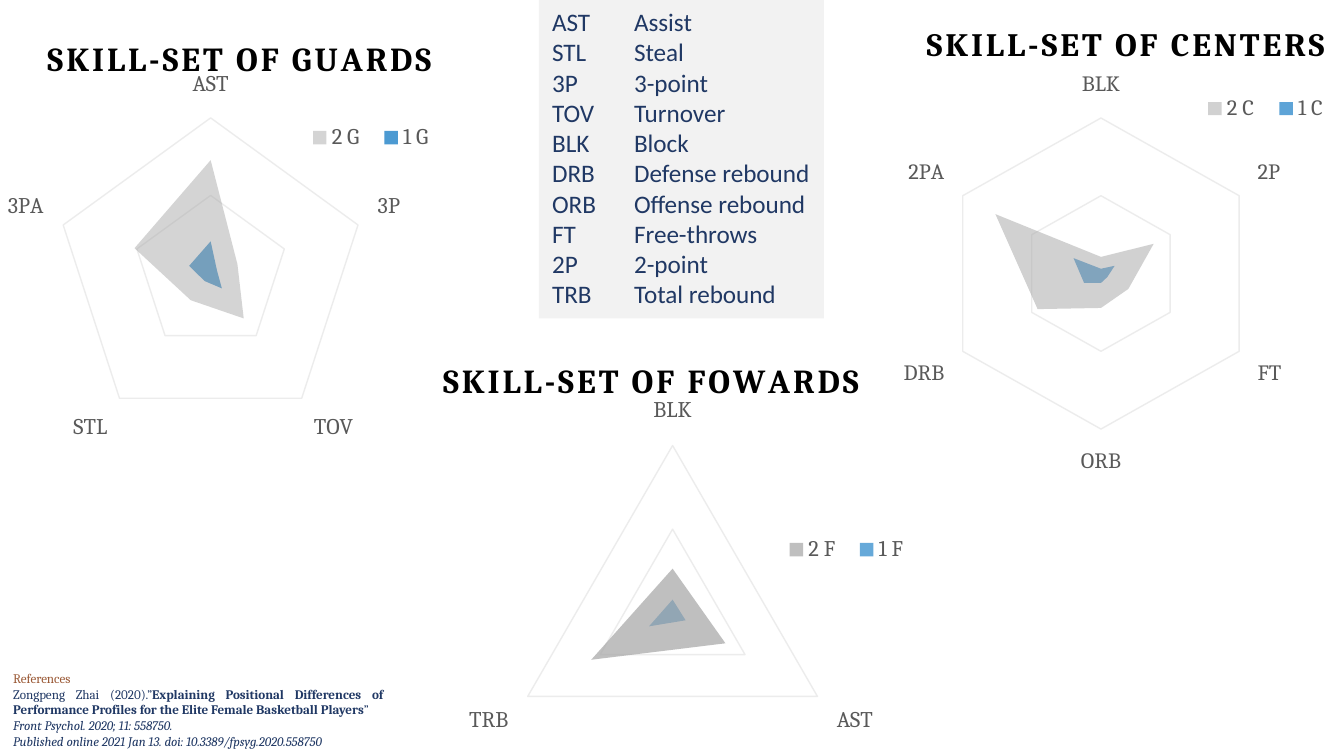
"""Build a slide of three radar charts comparing basketball skill-sets by position."""
from lxml.etree import SubElement
from pptx import Presentation
from pptx.chart.data import CategoryChartData
from pptx.dml.color import RGBColor
from pptx.enum.chart import XL_CHART_TYPE, XL_LEGEND_POSITION, XL_TICK_MARK
from pptx.enum.shapes import MSO_SHAPE
from pptx.enum.text import MSO_ANCHOR, MSO_AUTO_SIZE, PP_ALIGN
from pptx.oxml import parse_xml
from pptx.oxml.ns import nsdecls, qn
from pptx.util import Inches, Pt

THEME = {
    "black": RGBColor.from_string("000000"),
    "label": RGBColor.from_string("595959"),
    "axis": RGBColor.from_string("D9D9D9"),
    "grid": RGBColor.from_string("808080"),
    "second": RGBColor.from_string("A5A5A5"),
    "first": RGBColor.from_string("0070C0"),
    "panel": RGBColor.from_string("F2F2F2"),
    "navy": RGBColor.from_string("203864"),
    "brown": RGBColor.from_string("995733"),
    "heading": "Cambria",
    "body": "Calibri",
    "chart_size": Pt(10),
    "title_size": Pt(18),
    "title_spacing": "160",
    "label_size": Pt(12),
    "glossary_size": Pt(13.5),
    "reference_size": Pt(7),
    "hairline": Pt(0.75),
}


def paint(fill, color, opacity):
    fill.solid()
    fill.fore_color.rgb = color
    color_element = fill._xPr.find(f"{qn('a:solidFill')}/{qn('a:srgbClr')}")
    SubElement(color_element, qn("a:alpha"), val=str(opacity * 1000))


def place(element, index, **values):
    for old_layout in element.findall(qn("c:layout")):
        element.remove(old_layout)
    layout = parse_xml(f"<c:layout {nsdecls('c')}><c:manualLayout/></c:layout>")
    for name, value in values.items():
        SubElement(layout[0], qn(f"c:{name}"), val=str(value))
    element.insert(index, layout)


presentation = Presentation()
presentation.slide_width = Inches(10)
presentation.slide_height = Inches(10) * 9 // 16
slide = presentation.slides.add_slide(presentation.slide_layouts[6])

label_format = {"size": THEME["label_size"], "name": THEME["heading"]}
title_format = {"size": THEME["title_size"], "name": THEME["heading"], "bold": True}

skill_sets = [
    {
        "title": "SKILL-SET OF FOWARDS", "box": (1.51, 2.38, 6.86, 3.74),
        "skills": ["BLK", "AST", "TRB"], "maximum": 178,
        "series": [("2 F", [47, 65, 100], 70), ("1 F", [14, 16, 29], 60)],
        "plot": (0.328, 0.25, 0.363, 0.666),
        "title_at": (0.254, 0.066), "legend_box": (0.618, 0.412, 0.16, 0.09),
    },
    {
        "title": "SKILL-SET OF CENTERS", "box": (5.25, 0.01, 6.22, 3.52),
        "skills": ["BLK", "2P", "FT", "ORB", "DRB", "2PA"], "maximum": 131,
        "series": [("2 C", [14, 50, 26, 29, 60, 100], 50), ("1 C", [4, 13, 6, 8, 16, 26], 63)],
        "plot": (0.282, 0.253, 0.382, 0.676),
        "title_at": (0.257, 0.033), "legend_box": (0.58, 0.188, 0.18, 0.09),
    },
    {
        "title": "SKILL-SET OF GUARDS", "box": (-1.34, 0.12, 6.22, 3.52),
        "skills": ["AST", "3P", "TOV", "STL", "3PA"], "maximum": 137.5,
        "series": [("2 G", [100, 25, 50, 30, 71], 47), ("1 G", [28, 6, 17, 9, 20], 70)],
        "plot": (0.282, 0.215, 0.371, 0.656),
        "title_at": (0.265, 0.031), "legend_box": (0.569, 0.212, 0.18, 0.09),
    },
]

for skill_set in skill_sets:
    chart_data = CategoryChartData()
    chart_data.categories = skill_set["skills"]
    for name, values, opacity in skill_set["series"]:
        chart_data.add_series(name, values)
    box = [Inches(length) for length in skill_set["box"]]
    chart = slide.shapes.add_chart(XL_CHART_TYPE.RADAR_FILLED, *box, chart_data).chart
    chart.font.name = THEME["body"]
    chart.font.size = THEME["chart_size"]
    chart.font.color.rgb = THEME["black"]

    plot = chart.plots[0]
    plot.vary_by_categories = False
    colors = (THEME["second"], THEME["first"])
    for series, color, (name, values, opacity) in zip(plot.series, colors, skill_set["series"]):
        paint(series.format.fill, color, opacity)
        series.format.line.fill.background()

    category_axis = chart.category_axis
    category_axis.has_major_gridlines = False
    category_axis.major_tick_mark = XL_TICK_MARK.NONE
    category_axis.format.line.color.rgb = THEME["axis"]
    category_axis.format.line.width = THEME["hairline"]
    value_axis = chart.value_axis
    axis_format = {
        "visible": False, "has_major_gridlines": True, "minimum_scale": 0,
        "maximum_scale": skill_set["maximum"], "major_unit": skill_set["maximum"] / 2,
    }
    for attribute, value in axis_format.items():
        setattr(value_axis, attribute, value)
    grid_line = value_axis.major_gridlines.format.line
    grid_line.width = THEME["hairline"]
    paint(grid_line.fill, THEME["grid"], 15)

    chart.has_legend = True
    chart.legend.position = XL_LEGEND_POSITION.TOP
    chart.legend.include_in_layout = False
    for font in (category_axis.tick_labels.font, chart.legend.font):
        for attribute, value in label_format.items():
            setattr(font, attribute, value)
        font.color.rgb = THEME["label"]

    chart.has_title = True
    title = chart.chart_title.text_frame.paragraphs[0].add_run()
    title.text = skill_set["title"]
    for attribute, value in title_format.items():
        setattr(title.font, attribute, value)
    title.font.color.rgb = THEME["black"]
    title.font._element.set("spc", THEME["title_spacing"])

    chart_element = chart._chartSpace.chart
    edges = {"xMode": "edge", "yMode": "edge"}
    place(chart_element.plotArea, 0, layoutTarget="inner", **edges,
          **dict(zip("xywh", skill_set["plot"])))
    place(chart_element.find(qn("c:title")), 1, **edges,
          **dict(zip("xy", skill_set["title_at"])))
    place(chart_element.find(qn("c:legend")), 1, **edges,
          **dict(zip("xywh", skill_set["legend_box"])))

glossary = [
    ("AST", "Assist"), ("STL", "Steal"), ("3P", "3-point"), ("TOV", "Turnover"),
    ("BLK", "Block"), ("DRB", "Defense rebound"), ("ORB", "Offense rebound"),
    ("FT", "Free-throws"), ("2P", "2-point"), ("TRB", "Total rebound"),
]
panel = slide.shapes.add_shape(
    MSO_SHAPE.RECTANGLE, Inches(4.01), Inches(0), Inches(2.12), Inches(2.37))
panel.shadow.inherit = False
panel.fill.solid()
panel.fill.fore_color.rgb = THEME["panel"]
panel.line.fill.background()
panel.text_frame.vertical_anchor = MSO_ANCHOR.TOP
panel.text_frame.margin_right = Inches(0.05)
for index, (term, meaning) in enumerate(glossary):
    paragraph = panel.text_frame.paragraphs[0] if index == 0 else panel.text_frame.add_paragraph()
    tab_stops = SubElement(paragraph._p.get_or_add_pPr(), qn("a:tabLst"))
    SubElement(tab_stops, qn("a:tab"), pos=str(Inches(0.61)), algn="l")
    paragraph.alignment = PP_ALIGN.LEFT
    run = paragraph.add_run()
    run.text = f"{term}\t{meaning}"
    run.font.name = THEME["body"]
    run.font.size = THEME["glossary_size"]
    run.font.color.rgb = THEME["navy"]

references = [
    [("References", "brown", {})],
    [
        ("Zongpeng Zhai (2020).”", "navy", {}),
        ("Explaining Positional Differences of Performance Profiles for the Elite "
         "Female Basketball Players", "navy", {"bold": True}),
        ("”", "navy", {}),
    ],
    [("Front Psychol. 2020; 11: 558750.", "navy", {"italic": True})],
    [("Published online 2021 Jan 13. doi: 10.3389/fpsyg.2020.558750", "navy", {"italic": True})],
]
reference_box = slide.shapes.add_textbox(Inches(0), Inches(4.94), Inches(2.95), Inches(0.86))
reference_box.text_frame.word_wrap = True
for frame in (panel.text_frame, reference_box.text_frame):
    frame.auto_size = MSO_AUTO_SIZE.SHAPE_TO_FIT_TEXT
for index, runs in enumerate(references):
    frame = reference_box.text_frame
    paragraph = frame.paragraphs[0] if index == 0 else frame.add_paragraph()
    paragraph.alignment = PP_ALIGN.JUSTIFY
    for text, color, emphasis in runs:
        run = paragraph.add_run()
        run.text = text
        run_format = {"name": THEME["heading"], "size": THEME["reference_size"], **emphasis}
        for attribute, value in run_format.items():
            setattr(run.font, attribute, value)
        run.font.color.rgb = THEME[color]

presentation.save("out.pptx")
